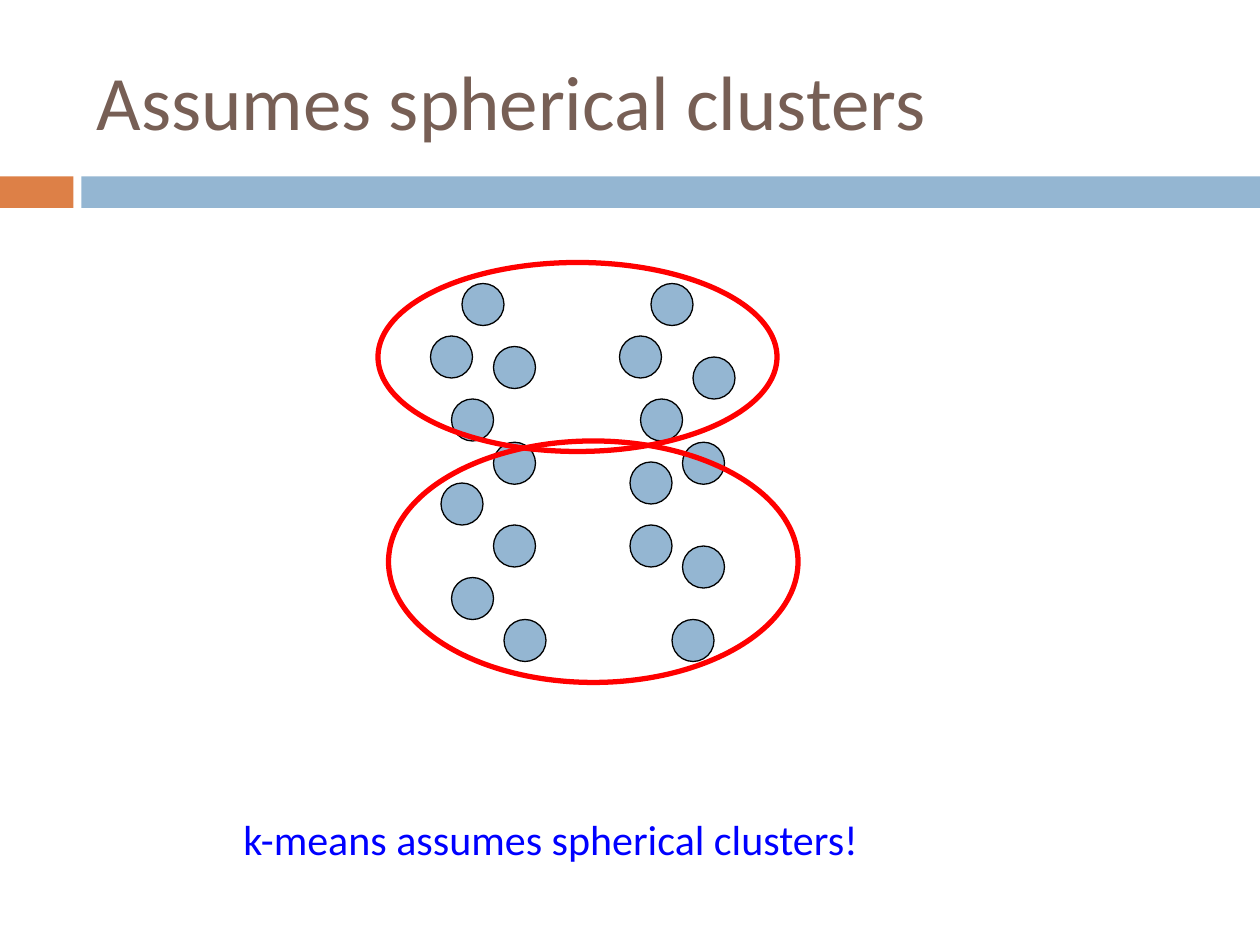
from dataclasses import dataclass

from pptx import Presentation
from pptx.dml.color import RGBColor
from pptx.enum.shapes import MSO_SHAPE
from pptx.enum.text import MSO_ANCHOR, MSO_AUTO_SIZE, PP_ALIGN
from pptx.util import Pt


@dataclass(frozen=True)
class Theme:
    font: str = "Calibri"
    title_size: float = 44
    caption_size: float = 24
    title: str = "775F55"
    accent: str = "DD8047"
    point: str = "94B6D2"
    outline: str = "000000"
    cluster: str = "FF0000"
    caption: str = "0000FF"


POINT_SIZE = 24
LEFT_POINTS = [(264, 162), (246, 192), (258, 228), (282, 198), (282, 252.7),
               (252, 276), (282, 300), (258, 330), (288, 354)]
RIGHT_POINTS = [(372, 162), (354, 192), (366, 228), (396, 204), (390, 252.7),
                (360, 264), (390, 312), (360, 300), (384, 354)]
CLUSTERS = [(216, 150, 228, 108), (222, 252, 234, 138)]


def write_text(frame, text, *, font, size, color, anchor=MSO_ANCHOR.TOP,
               fit=MSO_AUTO_SIZE.NONE):
    frame.word_wrap = True
    frame.auto_size = fit
    frame.vertical_anchor = anchor
    paragraph = frame.paragraphs[0]
    paragraph.alignment = PP_ALIGN.LEFT
    run = paragraph.add_run()
    run.text = text
    run.font.name = font
    run.font.size = Pt(size)
    run.font.color.rgb = RGBColor.from_string(color)


class SlideBuilder:
    def __init__(self, slide, theme):
        self.slide = slide
        self.theme = theme

    def title(self, text, box):
        heading = self.slide.shapes.title
        heading.left, heading.top, heading.width, heading.height = map(Pt, box)
        write_text(heading.text_frame, text, font=self.theme.font,
                   size=self.theme.title_size, color=self.theme.title,
                   anchor=MSO_ANCHOR.MIDDLE)

    def shape(self, kind, box, fill=None, line=None, weight=0.75, parent=None):
        shapes = (parent or self.slide).shapes
        figure = shapes.add_shape(kind, *map(Pt, box))
        figure.shadow.inherit = False
        if fill:
            figure.fill.solid()
            figure.fill.fore_color.rgb = RGBColor.from_string(fill)
        else:
            figure.fill.background()
        if line:
            figure.line.color.rgb = RGBColor.from_string(line)
            figure.line.width = Pt(weight)
        else:
            figure.line.fill.background()

    def band(self, box, color):
        self.shape(MSO_SHAPE.RECTANGLE, box, fill=color)

    def point_group(self, points):
        group = self.slide.shapes.add_group_shape()
        for left, top in points:
            self.shape(MSO_SHAPE.OVAL, (left, top, POINT_SIZE, POINT_SIZE),
                       fill=self.theme.point, line=self.theme.outline,
                       parent=group)

    def cluster(self, box):
        self.shape(MSO_SHAPE.OVAL, box, line=self.theme.cluster, weight=3)

    def caption(self, text, box):
        frame = self.slide.shapes.add_textbox(*map(Pt, box)).text_frame
        write_text(frame, text, font=self.theme.font,
                   size=self.theme.caption_size, color=self.theme.caption,
                   fit=MSO_AUTO_SIZE.SHAPE_TO_FIT_TEXT)


def main():
    deck = Presentation()
    deck.slide_width, deck.slide_height = Pt(720), Pt(540)
    theme = Theme()
    builder = SlideBuilder(deck.slides.add_slide(deck.slide_layouts[5]), theme)
    builder.band((0, 100.8, 42, 18), theme.accent)
    builder.band((46.5, 100.8, 673.5, 18), theme.point)
    builder.title("Assumes spherical clusters", (48, 18, 642, 78))
    for points in (LEFT_POINTS, RIGHT_POINTS):
        builder.point_group(points)
    for box in CLUSTERS:
        builder.cluster(box)
    builder.caption("k-means assumes spherical clusters!", (132, 461.5, 492, 36))
    deck.save("out.pptx")


if __name__ == "__main__":
    main()
